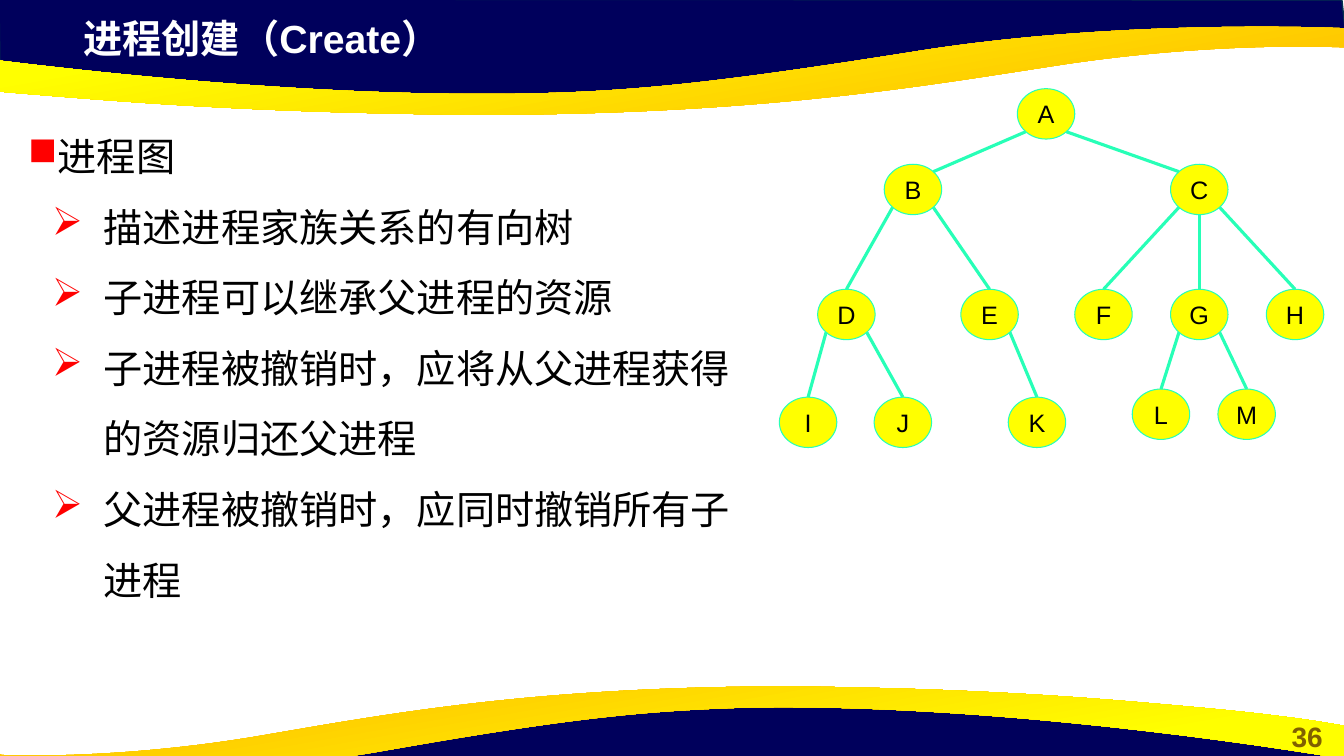
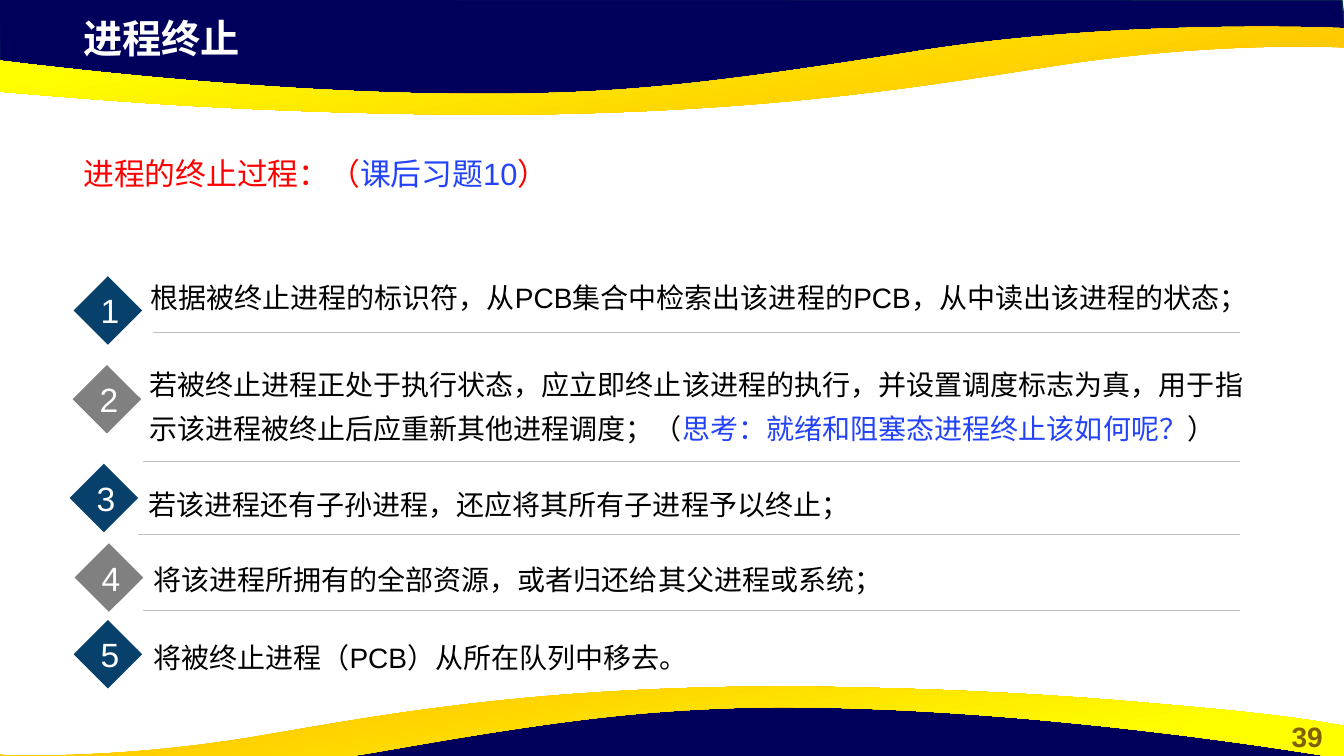
import itertools

import pptx
import pptx.dml.color
import pptx.enum.shapes
import pptx.enum.text
import pptx.oxml.ns
import pptx.util
from lxml import etree

Inches = pptx.util.Inches
Pt = pptx.util.Pt
RGBColor = pptx.dml.color.RGBColor
Shape = pptx.enum.shapes.MSO_SHAPE
Anchor = pptx.enum.text.MSO_ANCHOR
Align = pptx.enum.text.PP_ALIGN
AutoSize = pptx.enum.text.MSO_AUTO_SIZE
qn = pptx.oxml.ns.qn

FONT = "Arial"
BULLET_FONT = "Wingdings"
SQUARE_BULLET, ARROW_BULLET = "n", "Ø"  # ■ and ➢ in the bullet font
WHITE = RGBColor(0xFF, 0xFF, 0xFF)
BLACK = RGBColor(0x00, 0x00, 0x00)
RED = RGBColor(0xFF, 0x00, 0x00)
BLUE = RGBColor(0x23, 0x43, 0xFA)
NAVY = RGBColor(0x00, 0x00, 0x5C)
NAVY_EDGE = RGBColor(0x05, 0x30, 0x4F)
GOLD = RGBColor(0xFF, 0xC0, 0x00)
YELLOW = RGBColor(0xFF, 0xFF, 0x00)
BROWN = RGBColor(0x80, 0x60, 0x00)
MINT = RGBColor(0x27, 0xFF, 0xB7)
TEAL = RGBColor(0x07, 0x41, 0x6B)
GRAY = RGBColor(0x80, 0x80, 0x80)
RULE_GRAY = RGBColor(0xBF, 0xBF, 0xBF)

# Outlines: a pair is a corner, six numbers are a cubic curve.
TOP_BAND = [(-0.01, -0.01), (0, 0.7), (2.93, 1.02), (5.59, 1), (7.95, 0.88),
            (10.16, 0.5), (12.38, 0.33), (13.35, 0.38), (13.31, 0), (-0.01, -0.01)]
BOTTOM_BAND = [(13.33, 7.94), (13.32, 7.24), (10.4, 6.91), (7.73, 6.93), (5.38, 7.06),
               (3.17, 7.43), (0.95, 7.6), (-0.03, 7.56), (0.01, 7.93), (13.33, 7.94)]
TOP_RIBBON = [
    (4.83, 1.14), (4.43, 1.14, 4.01, 1.13, 3.56, 1.12), (2.06, 1.08, 1.1, 1, 0.36, 0.94),
    (-0.88, 0.84, -1.3, 0.75, -1.33, 0.75), (-1.33, 0.42, -1.33, 0.42, -1.33, 0.42),
    (-1.33, 0.42, 2.18, 0.98, 5.17, 0.93), (6.26, 0.91, 7.08, 0.83, 9.15, 0.5),
    (11.21, 0.18, 13.33, 0.28, 13.33, 0.28), (13.33, 0.32), (13.33, 0.47), (13.3, 0.47),
    (13.05, 0.46, 11.95, 0.43, 10.55, 0.64), (9.18, 0.85, 7.62, 1.13, 4.83, 1.14)]
BOTTOM_RIBBON = [
    (7.72, 6.81), (8.09, 6.81, 8.47, 6.82, 8.88, 6.83), (10.25, 6.87, 11.12, 6.95, 11.79, 7.01),
    (12.92, 7.11, 13.3, 7.2, 13.33, 7.2), (13.33, 7.53, 13.33, 7.53, 13.33, 7.53),
    (13.33, 7.53, 10.14, 6.97, 7.42, 7.02), (6.42, 7.05, 5.67, 7.12, 3.8, 7.45),
    (1.92, 7.78, -0.01, 7.68, -0.01, 7.68), (-0.01, 7.64), (-0.01, 7.48), (0.02, 7.49),
    (0.25, 7.5, 1.25, 7.52, 2.52, 7.31), (3.76, 7.1, 5.19, 6.82, 7.72, 6.81)]

NODE_WIDTH, NODE_HEIGHT = 0.57, 0.5
# Name: left, top
NODES = {
    "A": (10.09, 0.88), "B": (8.77, 1.63), "C": (11.61, 1.63),
    "D": (8.11, 2.87), "E": (9.53, 2.87), "F": (10.66, 2.87),
    "G": (11.61, 2.87), "H": (12.56, 2.87), "L": (11.23, 3.86),
    "M": (12.08, 3.86), "I": (7.73, 3.94), "J": (8.67, 3.94), "K": (10, 3.94)}
CHILDREN = {"A": "BC", "B": "DE", "C": "FGH", "D": "IJ", "E": "K", "G": "LM"}

GRAPH_POINTS = ["描述进程家族关系的有向树", "子进程可以继承父进程的资源",
                "子进程被撤销时，应将从父进程获得的资源归还父进程",
                "父进程被撤销时，应同时撤销所有子进程"]

DIAMOND_SIZE = 0.68
RULE_RIGHT = 12.3
# Diamond left and top, text box, line spacing, runs
STEPS = [
    (0.73, 2.74, (1.39, 2.55, 11.28, 0.62), 1.32,
     [("根据被终止进程的标识符，从PCB集合中检索出该进程的PCB，从中读出该进程的状态；", BLACK)]),
    (0.72, 3.62, (1.38, 3.53, 11.28, 0.94), 1.32,
     [("若被终止进程正处于执行状态，应立即终止该进程的执行，并设置调度标志为真，"
       "用于指示该进程被终止后应重新其他进程调度；（", BLACK),
      ("思考：就绪和阻塞态进程终止该如何呢？", BLUE), ("）", BLACK)]),
    (0.69, 4.6, (1.37, 4.62, 11.26, 0.6), 1.32,
     [("若该进程还有子孙进程，还应将其所有子进程予以终止；", BLACK)]),
    (0.74, 5.39, (1.42, 5.39, 10.88, 0.57), 1.32,
     [("将该进程所拥有的全部资源，或者归还给其父进程或系统；", BLACK)]),
    (0.73, 6.15, (1.42, 6.27, 6.6, 0.47), None,
     [("将被终止进程（PCB）从所在队列中移去。", BLACK)])]
RULES = [(1.52, 3.3), (1.42, 4.58), (1.37, 5.3), (1.42, 6.05)]  # left, y


def write_text(paragraph, text, *, size, color=BLACK, bold=False, align=None, spacing=None):
    """Append one run and set the format of its paragraph."""
    run = paragraph.add_run()
    run.text = text
    run.font.name = FONT
    run.font.size = Pt(size)
    run.font.bold = bold
    run.font.color.rgb = color
    if align is not None:
        paragraph.alignment = align
    if spacing is not None:
        paragraph.line_spacing = spacing


def add_text_box(slide, box, runs, *, anchor=Anchor.TOP, grow=False, **text_format):
    """Add a one-paragraph box from (text, colour) runs."""
    frame = slide.shapes.add_textbox(*map(Inches, box)).text_frame
    frame.word_wrap = True
    frame.vertical_anchor = anchor
    if grow:
        frame.auto_size = AutoSize.SHAPE_TO_FIT_TEXT
    for text, color in runs:
        write_text(frame.paragraphs[0], text, color=color, **text_format)


def set_bullet(paragraph, character, margin, indent):
    properties = paragraph._p.get_or_add_pPr()
    properties.set("marL", str(Inches(margin)))
    properties.set("indent", str(Inches(indent)))
    color = etree.SubElement(properties, qn("a:buClr"))
    etree.SubElement(color, qn("a:srgbClr"), val=str(RED))
    etree.SubElement(properties, qn("a:buFont"), typeface=BULLET_FONT, charset="2")
    etree.SubElement(properties, qn("a:buChar"), char=character)


def add_label_shape(slide, kind, box, text, *, fill, line=None, wrap, size, color):
    shape = slide.shapes.add_shape(kind, *map(Inches, box))
    shape.shadow.inherit = False
    shape.fill.solid()
    shape.fill.fore_color.rgb = fill
    if line is None:
        shape.line.fill.background()
    else:
        shape.line.color.rgb = line
        shape.line.width = Pt(0.75)
    frame = shape.text_frame
    frame.word_wrap = wrap
    frame.vertical_anchor = Anchor.MIDDLE
    write_text(frame.paragraphs[0], text, size=size, color=color, align=Align.CENTER)


def add_line(slide, start, end, color, width):
    connector = slide.shapes.add_connector(
        pptx.enum.shapes.MSO_CONNECTOR.STRAIGHT, *map(Inches, start + end))
    connector.line.color.rgb = color
    connector.line.width = Pt(width)
    etree.SubElement(connector._element.spPr, qn("a:effectLst"))


def add_outline(slide, outline):
    """Build a freeform through the end points, then bend its curved segments."""
    ends = [(Inches(part[-2]), Inches(part[-1])) for part in outline]
    builder = slide.shapes.build_freeform(*ends[0])
    builder.add_line_segments(ends[1:], close=True)
    shape = builder.convert_to_shape()
    shape.shadow.inherit = False
    segments = list(shape._element.iter(qn("a:lnTo")))
    for segment, part in zip(segments, outline[1:]):
        if len(part) == 2:
            continue
        curve = etree.Element(qn("a:cubicBezTo"))
        for x, y in zip(part[::2], part[1::2]):
            etree.SubElement(curve, qn("a:pt"), x=str(Inches(x) - shape.left),
                             y=str(Inches(y) - shape.top))
        segment.getparent().replace(segment, curve)
    return shape


def add_band(slide, outline):
    band = add_outline(slide, outline)
    band.fill.solid()
    band.fill.fore_color.rgb = NAVY
    band.line.color.rgb = NAVY_EDGE
    band.line.width = Pt(1)


def add_ribbon(slide, outline, angle):
    ribbon = add_outline(slide, outline)
    ribbon.line.fill.background()
    ribbon.fill.gradient()
    ribbon.fill.gradient_angle = angle
    stops = ((0.11, GOLD), (0.78, YELLOW))
    for stop, (position, color) in zip(ribbon.fill.gradient_stops, stops):
        stop.position = position
        stop.color.rgb = color


def add_framed_slide(presentation, title, number):
    """Add a slide with the shared bands, ribbons, title and page number."""
    slide = presentation.slides.add_slide(presentation.slide_layouts[6])
    add_band(slide, TOP_BAND)
    add_ribbon(slide, TOP_RIBBON, 100)
    add_band(slide, BOTTOM_BAND)
    add_ribbon(slide, BOTTOM_RIBBON, 280)
    add_text_box(slide, (12.6, 7.09, 0.73, 0.44), [(number, BROWN)],
                 grow=True, size=20, bold=True, align=Align.CENTER)
    add_text_box(slide, (0.73, 0.09, 7.68, 0.57), [(title, WHITE)],
                 grow=True, size=28, bold=True)
    return slide


def add_bullet_list(slide, box, heading, points):
    frame = slide.shapes.add_textbox(*map(Inches, box)).text_frame
    frame.word_wrap = True
    set_bullet(frame.paragraphs[0], SQUARE_BULLET, 0.25, -0.51)
    write_text(frame.paragraphs[0], heading, size=28, spacing=1.5)
    for point in points:
        paragraph = frame.add_paragraph()
        paragraph.level = 1
        set_bullet(paragraph, ARROW_BULLET, 0.75, -0.51)
        write_text(paragraph, point, size=28, spacing=1.5)


def add_edge(slide, parent, child):
    """Join two tree nodes, leaving the parent on the side that faces the child."""
    (parent_x, parent_y), (child_x, child_y) = [
        (left + NODE_WIDTH / 2, top + NODE_HEIGHT / 2)
        for left, top in (NODES[parent], NODES[child])]
    across, down = child_x - parent_x, child_y - parent_y
    diagonal = 0.5 ** 0.5
    side_x = diagonal * NODE_WIDTH / 2 * ((across > 0) - (across < 0))
    side_y = diagonal * NODE_HEIGHT / 2
    start = (parent_x + side_x, parent_y + (side_y if across else NODE_HEIGHT / 2))
    if abs(across) > down:
        end = (child_x - side_x, child_y - side_y)
    else:
        end = (child_x, child_y - NODE_HEIGHT / 2)
    add_line(slide, start, end, MINT, 2.25)


def add_process_tree(slide):
    for name, position in NODES.items():
        add_label_shape(slide, Shape.OVAL, position + (NODE_WIDTH, NODE_HEIGHT), name,
                        fill=YELLOW, line=MINT, wrap=False, size=18, color=BLACK)
    for parent, children in CHILDREN.items():
        for child in children:
            add_edge(slide, parent, child)


def add_steps(slide):
    fills = itertools.cycle((TEAL, GRAY))
    for number, (step, fill) in enumerate(zip(STEPS, fills), start=1):
        left, top, text_box, spacing, runs = step
        add_label_shape(slide, Shape.DIAMOND, (left, top, DIAMOND_SIZE, DIAMOND_SIZE),
                        str(number), fill=fill, wrap=True, size=24, color=WHITE)
        add_text_box(slide, text_box, runs, anchor=Anchor.BOTTOM, size=20, spacing=spacing)
    for left, y in RULES:
        add_line(slide, (left, y), (RULE_RIGHT, y), RULE_GRAY, 0.25)


def main():
    presentation = pptx.Presentation()
    presentation.slide_width = Inches(13.33)
    presentation.slide_height = Inches(7.5)

    creation = add_framed_slide(presentation, "进程创建（Create）", "36")
    add_bullet_list(creation, (0.18, 1.03, 7.37, 5.86), "进程图", GRAPH_POINTS)
    add_process_tree(creation)

    termination = add_framed_slide(presentation, "进程终止", "39")
    add_text_box(termination, (0.73, 1.3, 5.93, 0.72),
                 [("进程的终止过程：（", RED), ("课后习题10", BLUE), ("）", RED)],
                 size=22, spacing=1.5)
    add_steps(termination)

    presentation.save("out.pptx")


if __name__ == "__main__":
    main()
